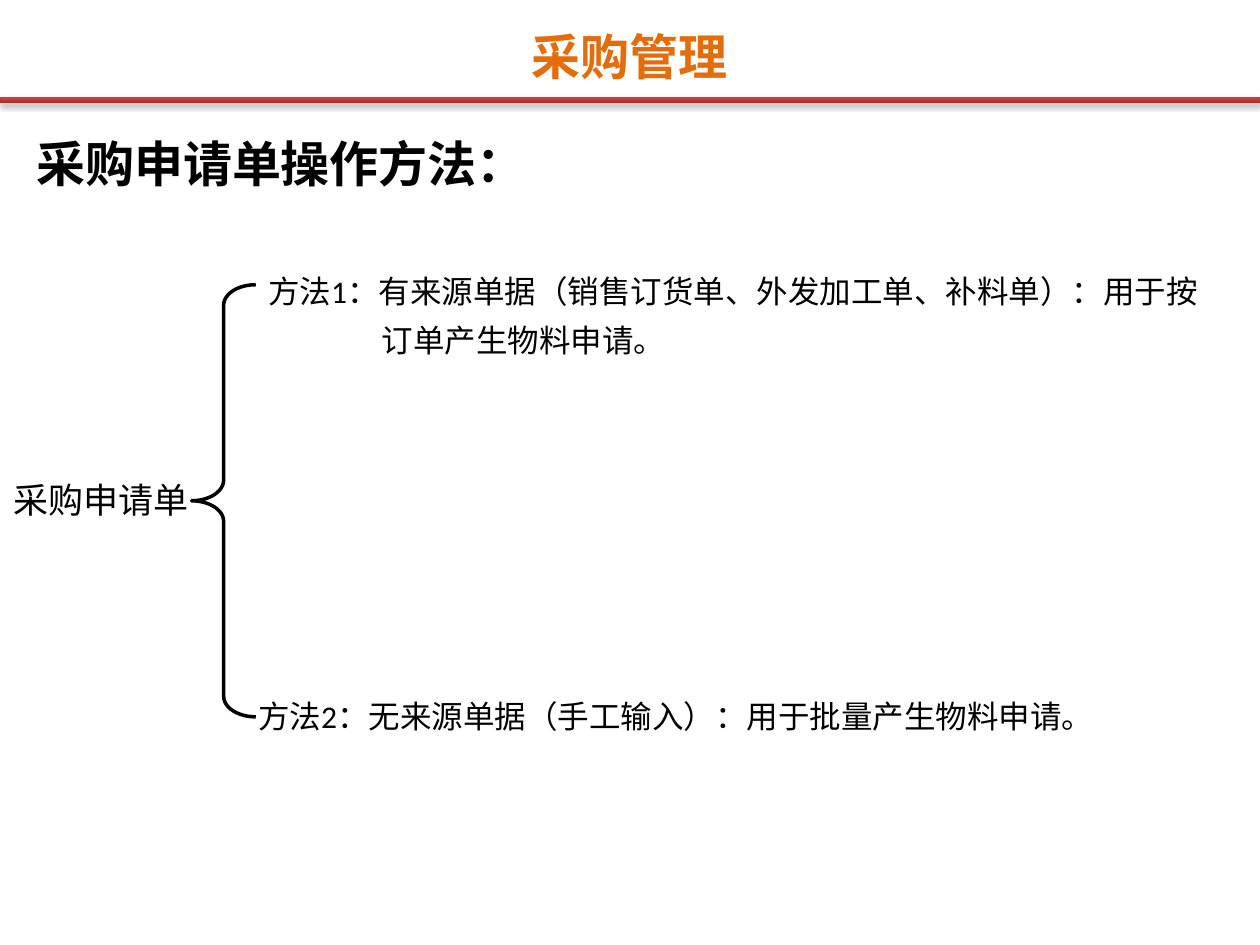
from dataclasses import dataclass

from lxml.etree import SubElement
from pptx import Presentation
from pptx.dml.color import RGBColor
from pptx.enum.shapes import MSO_SHAPE as Preset
from pptx.enum.text import MSO_AUTO_SIZE as AutoSize, PP_ALIGN as Align
from pptx.oxml.ns import qn
from pptx.slide import Slide
from pptx.util import Inches, Pt

BLACK = "000000"
ORANGE = "E46C0A"
BAR_STOPS = ((0, "9C2F2D"), (80, "CB3E3A"), (100, "CE3B37"))


@dataclass
class Label:
    lines: tuple[str, ...]
    left: float
    top: float
    width: float
    height: float
    size: int
    color: str = BLACK
    bold: bool = False
    align: Align = Align.LEFT
    line_spacing: float = 1.0
    continuation_indent: float = 0


LABELS = (
    Label(("采购管理",), 2.75, 0.16, 4.49, 0.57, 28, ORANGE, True, Align.CENTER),
    Label(("采购申请单操作方法：",), 0.19, 1.01, 9.38, 0.57, 28, bold=True),
    Label(("采购申请单",), 0.01, 3.75, 1.68, 0.44, 20),
    Label(
        ("方法1：有来源单据（销售订货单、外发加工单、补料单）：用于按", "订单产生物料申请。"),
        2.03, 2.02, 7.82, 0.89, 18, line_spacing=1.3, continuation_indent=0.9,
    ),
    Label(("方法2：无来源单据（手工输入）：用于批量产生物料申请。",), 1.95, 5.48, 8.29, 0.4, 18),
)


def rgb(value: str) -> RGBColor:
    return RGBColor.from_string(value)


def add_label(slide: Slide, label: Label) -> None:
    box = slide.shapes.add_textbox(
        Inches(label.left), Inches(label.top), Inches(label.width), Inches(label.height)
    )
    frame = box.text_frame
    frame.word_wrap = True
    frame.auto_size = AutoSize.SHAPE_TO_FIT_TEXT
    for index, line in enumerate(label.lines):
        paragraph = frame.add_paragraph() if index else frame.paragraphs[0]
        paragraph.text = line
        paragraph.alignment = label.align
        paragraph.line_spacing = label.line_spacing
        if index and label.continuation_indent:
            paragraph._p.get_or_add_pPr().set("marL", str(Inches(label.continuation_indent)))
        font = paragraph.font
        font.name = "Calibri"
        font.size = Pt(label.size)
        font.bold = label.bold
        font.color.rgb = rgb(label.color)


def add_title_bar(slide: Slide) -> None:
    bar = slide.shapes.add_shape(Preset.RECTANGLE, 0, Inches(0.77), Inches(10), Inches(0.05))
    bar.line.fill.background()
    bar.fill.gradient()
    bar.fill.gradient_angle = 90
    properties = bar._element.spPr
    stops = properties.find(".//" + qn("a:gsLst"))
    for stop in list(stops):
        stops.remove(stop)
    for position, color in BAR_STOPS:
        stop = SubElement(stops, qn("a:gs"), pos=str(position * 1000))
        SubElement(stop, qn("a:srgbClr"), val=color)

    bar.shadow.inherit = False
    shadow = SubElement(
        properties.find(qn("a:effectLst")), qn("a:outerShdw"),
        blurRad=str(Pt(3.1)), dist=str(Pt(1.8)), dir="5400000", rotWithShape="0",
    )
    shadow_color = SubElement(shadow, qn("a:srgbClr"), val=BLACK)
    SubElement(shadow_color, qn("a:alpha"), val="35000")


def add_brace(slide: Slide) -> None:
    brace = slide.shapes.add_shape(
        Preset.LEFT_BRACE, Inches(1.52), Inches(2.26), Inches(0.51), Inches(3.43)
    )
    brace.adjustments[0] = 0.32
    brace.adjustments[1] = 0.5
    brace.shadow.inherit = False
    brace.fill.background()
    brace.line.color.rgb = rgb(BLACK)
    brace.line.width = Pt(2)


def main() -> None:
    presentation = Presentation()
    presentation.slide_width = Inches(10)
    presentation.slide_height = Inches(7.5)
    slide = presentation.slides.add_slide(presentation.slide_layouts[6])
    add_title_bar(slide)
    add_brace(slide)
    for label in LABELS:
        add_label(slide, label)
    presentation.save("out.pptx")


if __name__ == "__main__":
    main()
